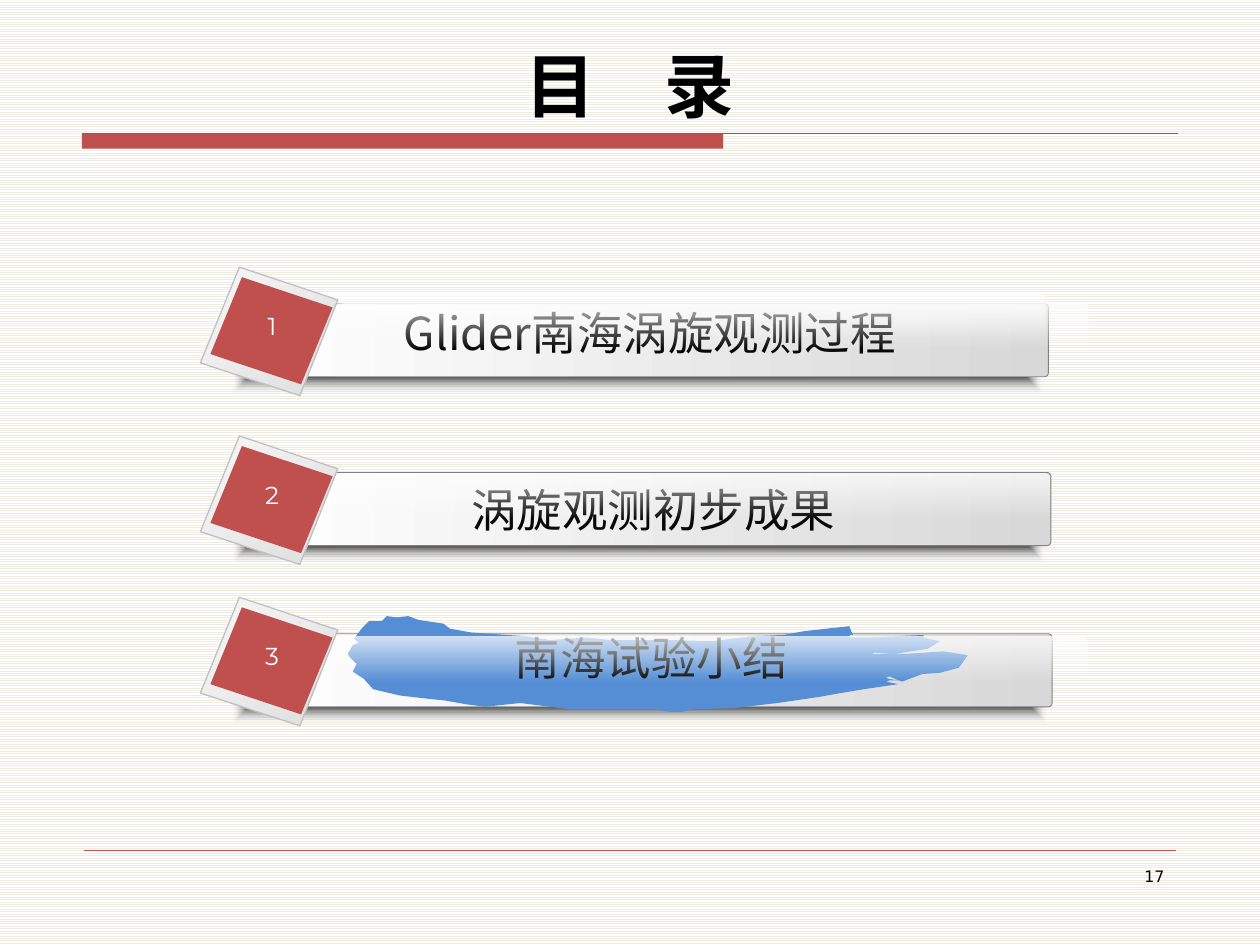
import pptx
import pptx.util
from lxml import etree
from pptx.dml.color import RGBColor
from pptx.enum.dml import MSO_PATTERN
from pptx.enum.shapes import MSO_CONNECTOR, MSO_SHAPE
from pptx.enum.text import MSO_ANCHOR, PP_ALIGN
from pptx.oxml.ns import qn
from pptx.util import Inches, Pt

RED = RGBColor(0xC0, 0x50, 0x4D)
SLATE = RGBColor(0x5F, 0x66, 0x72)
BLUE = RGBColor(0x55, 0x8E, 0xD5)
CREAM = RGBColor(0xEE, 0xEC, 0xE1)
WHITE = RGBColor(0xFF, 0xFF, 0xFF)
BLACK = RGBColor(0, 0, 0)
INK = RGBColor(0x08, 0x08, 0x08)
GREY = RGBColor(0x80, 0x80, 0x80)
SILVER = RGBColor(0xC0, 0xC0, 0xC0)
PALE = RGBColor(0xF8, 0xF8, 0xF8)
MIST = RGBColor(0xDD, 0xDD, 0xDD)
BAR_END = RGBColor(0xD8, 0xD8, 0xD8)
CJK = "Noto Sans CJK SC"

TITLE = "目 录"
PAGE = "17"

# Label box and glosses are (left, top, width, height); without a label box the text sits in the bar.
ROWS = [
    dict(label="Glider南海涡旋观测过程", top=2.41, width=6.29, label_box=(2.86, 2.42, 4.6, 0.54),
         inner_gloss=(2.35, 2.33, 5.94, 0.35), outer_gloss=(2.69, 2.41, 5.95, 0.35)),
    dict(label="涡旋观测初步成果", top=3.75, width=6.31,
         inner_gloss=(2.38, 3.76, 5.95, 0.35)),
    dict(label="南海试验小结", top=5.03, width=6.32, label_box=(2.82, 5, 4.7, 0.54),
         outer_gloss=(2.67, 5.05, 5.95, 0.35), brushed=True),
]
BAR_LEFT, BAR_HEIGHT = 2.03, 0.58

# Tile corners: x on the slide, y measured from the top of the bar
FRAME = [(2.38, 0.73), (1.59, 0.47), (1.9, -0.29), (2.68, -0.03)]
TILE = [(2.39, 0.64), (1.67, 0.4), (1.92, -0.21), (2.64, 0.03)]

BRUSH = [
    (3.07, 4.89), (3.03, 4.93), (2.93, 4.93), (2.87, 4.99), (2.81, 5.07), (2.83, 5.09),
    (2.85, 5.1), (2.8, 5.12), (2.76, 5.19), (2.78, 5.22), (2.83, 5.27), (2.8, 5.33),
    (2.89, 5.39), (2.96, 5.47), (3.17, 5.52), (3.34, 5.54), (3.53, 5.56), (3.7, 5.59),
    (3.85, 5.61), (4.13, 5.58), (4.53, 5.63), (5.01, 5.63), (5.18, 5.63), (5.32, 5.65),
    (5.41, 5.65), (5.5, 5.63), (5.83, 5.62), (6.17, 5.58), (6.51, 5.53), (6.62, 5.51),
    (6.86, 5.47), (7.13, 5.43), (7.03, 5.41), (7.06, 5.4), (7.14, 5.4), (7.06, 5.39),
    (7.03, 5.38), (7.06, 5.37), (7.16, 5.41), (7.32, 5.35), (7.46, 5.34), (7.61, 5.3),
    (7.66, 5.23), (7.68, 5.2), (7.49, 5.17), (7.19, 5.19), (6.92, 5.19), (6.94, 5.18),
    (7.1, 5.19), (7.36, 5.15), (7.46, 5.09), (7.33, 5.06), (7.33, 5.04), (6.87, 5.06),
    (6.72, 5.06), (6.75, 5.04), (6.77, 5.04), (6.74, 4.97), (6.38, 5.01), (6.22, 5.04),
    (5.96, 5.05), (5.65, 5.09), (5.33, 5.08), (5.05, 5.08), (4.84, 5.08), (4.66, 5.06),
    (4.37, 5.08), (4.24, 5.06), (4.18, 5.05), (3.74, 5.02), (3.57, 4.99), (3.52, 4.95),
    (3.32, 4.92), (3.24, 4.89), (3.15, 4.9),
]


def set_gradient(shape, stops, angle=None):
    """Fill with (colour, opacity %) stops; without an angle the gradient closes on the centre."""
    shape.fill.gradient()
    gradient = shape._element.spPr.find(qn("a:gradFill"))
    for child in list(gradient):
        gradient.remove(child)
    stop_list = etree.SubElement(gradient, qn("a:gsLst"))
    for position, (colour, opacity) in zip((0, 100000), stops):
        stop = etree.SubElement(stop_list, qn("a:gs"), pos=str(position))
        rgb = etree.SubElement(stop, qn("a:srgbClr"), val=str(colour))
        etree.SubElement(rgb, qn("a:alpha"), val=str(opacity * 1000))
    if angle is None:
        centre = etree.SubElement(gradient, qn("a:path"), path="shape")
        etree.SubElement(centre, qn("a:fillToRect"), l="50000", t="50000", r="50000", b="50000")
    else:
        etree.SubElement(gradient, qn("a:lin"), ang=str(angle * 60000), scaled="0")


def set_outline(shape, colour=None, width=0.75):
    shape.shadow.inherit = False
    if colour is None:
        shape.line.fill.background()
    else:
        shape.line.color.rgb = colour
        shape.line.width = Pt(width)


def add_preset(slide, kind, box, corner=None):
    shape = slide.shapes.add_shape(kind, *map(Inches, box))
    if corner is not None:
        shape.adjustments[0] = corner
    set_outline(shape)
    return shape


def add_outline(slide, points, top=0):
    corners = [(Inches(x), Inches(top + y)) for x, y in points]
    builder = slide.shapes.build_freeform(*corners[0])
    builder.add_line_segments(corners[1:], close=True)
    shape = builder.convert_to_shape()
    set_outline(shape)
    return shape


def add_gloss(slide, box):
    gloss = add_preset(slide, MSO_SHAPE.ROUNDED_RECTANGLE, box, 0.11)
    set_gradient(gloss, [(WHITE, 75), (WHITE, 0)], 90)


def add_rule(slide, left, right, y, colour, width):
    rule = slide.shapes.add_connector(
        MSO_CONNECTOR.STRAIGHT, Inches(left), Inches(y), Inches(right), Inches(y))
    rule.line.color.rgb = colour
    rule.line.width = Pt(width)
    etree.SubElement(rule._element.spPr, qn("a:effectLst"))


def style_run(run, size, font, colour, spacing=None):
    run.font.size = Pt(size)
    run.font.name = font
    run.font.color.rgb = colour
    etree.SubElement(run.font._element, qn("a:ea"), typeface=CJK)
    if spacing is not None:
        run.font._element.set("spc", str(round(spacing * 100)))


def write(frame, text, size, font, colour, align=PP_ALIGN.CENTER, spacing=None):
    frame.text = text
    paragraph = frame.paragraphs[0]
    paragraph.alignment = align
    style_run(paragraph.runs[0], size, font, colour, spacing)


def add_text(slide, box, *style, wrap=True, **options):
    frame = slide.shapes.add_textbox(*map(Inches, box)).text_frame
    frame.word_wrap = wrap
    write(frame, *style, **options)
    return frame


def add_title(slide):
    title = slide.shapes.title
    title.left, title.top, title.width, title.height = map(Inches, (1.72, 0.34, 6.56, 0.53))
    frame = title.text_frame
    frame.vertical_anchor = MSO_ANCHOR.TOP
    frame.margin_top = frame.margin_bottom = 0
    paragraph = frame.paragraphs[0]
    paragraph.alignment = PP_ALIGN.CENTER
    for character in TITLE:
        run = paragraph.add_run()
        run.text = character
        style_run(run, 40, "Times New Roman", BLACK, 30 if character == " " else None)
        run.font.bold = True


def add_row(slide, number, row):
    top, width = row["top"], row["width"]
    shade = add_preset(slide, MSO_SHAPE.RECTANGLE, (1.84, top + 0.42, width + 0.15, 0.3))
    set_gradient(shade, [(INK, 80), (WHITE, 0)])
    bar = add_preset(slide, MSO_SHAPE.ROUNDED_RECTANGLE, (BAR_LEFT, top, width, BAR_HEIGHT), 0.05)
    set_gradient(bar, [(WHITE, 100), (BAR_END, 100)], 0)
    set_outline(bar, GREY, 0.5)
    label_style = (row["label"], 26, CJK, INK)
    if "label_box" not in row:
        bar.text_frame.word_wrap = False
        bar.text_frame.vertical_anchor = MSO_ANCHOR.MIDDLE
        write(bar.text_frame, *label_style)
    if "inner_gloss" in row:
        add_gloss(slide, row["inner_gloss"])

    frame = add_outline(slide, FRAME, top)
    set_gradient(frame, [(PALE, 100), (MIST, 100)], 45)
    set_outline(frame, SILVER)
    tile = add_outline(slide, TILE, top)
    tile.fill.solid()
    tile.fill.fore_color.rgb = RED
    add_text(slide, (1.99, top + 0.01, 0.34, 0.4), str(number), 14, "Montserrat", WHITE,
             wrap=False, spacing=-0.7)

    if row.get("brushed"):
        brush = add_outline(slide, BRUSH)
        brush.fill.solid()
        brush.fill.fore_color.rgb = BLUE
    if "label_box" in row:
        label = add_text(slide, row["label_box"], *label_style)
        label.margin_top = label.margin_bottom = 0
    if "outer_gloss" in row:
        add_gloss(slide, row["outer_gloss"])


def main():
    deck = pptx.Presentation()
    deck.slide_width, deck.slide_height = Inches(10), Inches(7.5)
    slide = deck.slides.add_slide(deck.slide_layouts[5])
    backdrop = slide.background.fill
    backdrop.patterned()
    backdrop.pattern = MSO_PATTERN.LIGHT_HORIZONTAL
    backdrop.fore_color.rgb = CREAM
    backdrop.back_color.rgb = WHITE

    add_rule(slide, 0.65, 9.35, 1.06, SLATE, 0.75)
    band = add_preset(slide, MSO_SHAPE.RECTANGLE, (0.65, 1.06, 5.09, 0.12))
    band.fill.solid()
    band.fill.fore_color.rgb = RED
    add_rule(slide, 0.67, 9.33, 6.75, RED, 0.25)
    add_title(slide)
    add_text(slide, (7.17, 6.83, 2.17, 0.52), PAGE, 9, "DejaVu Sans", BLACK, align=PP_ALIGN.RIGHT)
    for number, row in enumerate(ROWS, 1):
        add_row(slide, number, row)
    deck.save("out.pptx")


if __name__ == "__main__":
    main()
